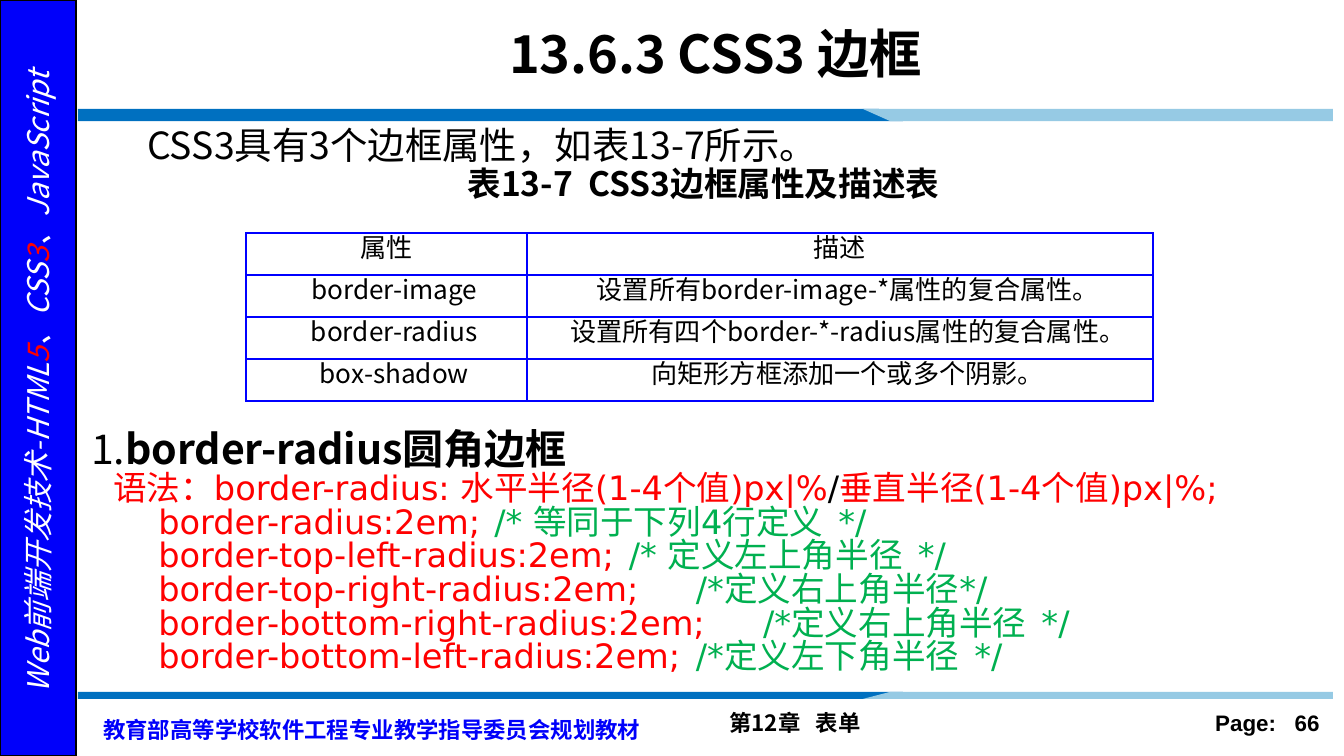
from dataclasses import dataclass

from lxml import etree
from pptx import Presentation
from pptx import util as u
from pptx.dml import color
from pptx.enum import shapes, text
from pptx.oxml import ns

PX = 914400 / 134.4


@dataclass(frozen=True)
class Theme:
    """Colours, fonts and type sizes of the deck."""
    black: str = "000000"
    white: str = "FFFFFF"
    blue: str = "0000FA"
    grid: str = "0000FF"
    band: str = "0070C0"
    band_light: str = "96CAE4"
    code: str = "FF0000"
    comment: str = "00B050"
    sans: str = "Noto Sans CJK SC"
    mono: str = "DejaVu Sans"
    page: str = "Arial"
    title: int = 28
    heading: int = 22
    body: int = 20
    syntax: int = 18
    side: int = 16
    cell: int = 14
    footer: int = 12


def px(n):
    """Turn px into EMU."""
    return u.Emu(round(n * PX))


def rgb(value):
    """Turn a hex string into a colour."""
    return color.RGBColor.from_string(value)


class Deck:
    """Draws styled elements on the current slide."""

    def __init__(self, prs, theme):
        """Add a blank slide to draw on."""
        self.t = theme
        self.s = prs.slides.add_slide(prs.slide_layouts[6])

    def run(self, p, content, size, fill=None, bold=False, italic=False, font=None):
        """Append one formatted run."""
        r = p.add_run()
        r.text = content
        f = r.font
        f.size, f.bold, f.italic = u.Pt(size), bold, italic
        f.name = font or self.t.sans
        f.color.rgb = rgb(fill or self.t.black)
        ea = etree.SubElement(r._r.get_or_add_rPr(), ns.qn("a:ea"))
        ea.set("typeface", self.t.sans)

    def para(self, tf, runs, align="LEFT", spacing=None, margin=0, indent=0, tabs=()):
        """Fill the first empty paragraph or append a new one."""
        p = tf.paragraphs[0] if not tf.text else tf.add_paragraph()
        p.alignment = getattr(text.PP_ALIGN, align)
        if spacing:
            p.line_spacing = spacing
        pPr = p._p.get_or_add_pPr()
        pPr.set("marL", str(px(margin)))
        pPr.set("indent", str(px(indent)))
        if tabs:
            stops = etree.SubElement(pPr, ns.qn("a:tabLst"))
            for pos in tabs:
                etree.SubElement(stops, ns.qn("a:tab"), pos=str(px(pos)), algn="l")
        for content, size, *style in runs:
            self.run(p, content, size, *style)

    def box(self, x, y, w, h, anchor="TOP", rotation=0):
        """Add a wrapping text box and return its frame."""
        sp = self.s.shapes.add_textbox(px(x), px(y), px(w), px(h))
        sp.rotation = rotation
        tf = sp.text_frame
        tf.word_wrap = True
        tf.vertical_anchor = getattr(text.MSO_ANCHOR, anchor)
        return tf

    def rect(self, x, y, w, h, fill, line):
        """Add an outlined rectangle."""
        sp = self.s.shapes.add_shape(shapes.MSO_SHAPE.RECTANGLE, px(x), px(y), px(w), px(h))
        sp.shadow.inherit = False
        sp.fill.solid()
        sp.fill.fore_color.rgb = rgb(fill)
        sp.line.color.rgb = rgb(line)
        sp.line.width = u.Pt(1)

    def polygon(self, points, fill):
        """Add a filled outline without a border."""
        start, *rest = [(px(x), px(y)) for x, y in points]
        fb = self.s.shapes.build_freeform(*start, scale=1.0)
        fb.add_line_segments(rest, close=True)
        sp = fb.convert_to_shape()
        sp.shadow.inherit = False
        sp.fill.solid()
        sp.fill.fore_color.rgb = rgb(fill)
        sp.line.fill.background()

    def band(self, near, far):
        """Add a two-tone divider with a slanted joint."""
        self.polygon([(78, near), (879, near), (903, far), (78, far)], self.t.band)
        self.polygon([(863, near), (1333, near), (1333, far), (890, far)], self.t.band_light)

    def border(self, cell):
        """Draw all four edges of a cell."""
        tcPr = cell._tc.get_or_add_tcPr()
        for i, side in enumerate(("lnL", "lnR", "lnT", "lnB")):
            ln = etree.Element(ns.qn(f"a:{side}"), w=str(u.Pt(1)))
            fill = etree.SubElement(ln, ns.qn("a:solidFill"))
            etree.SubElement(fill, ns.qn("a:srgbClr"), val=self.t.grid)
            tcPr.insert(i, ln)

    def table(self, x, y, widths, height, rows):
        """Add a plain ruled table."""
        frame = self.s.shapes.add_table(len(rows), len(widths), px(x), px(y),
                                        px(sum(widths)), px(height * len(rows)))
        tbl = frame.table
        tbl.first_row = tbl.horz_banding = False
        for col, width in zip(tbl.columns, widths):
            col.width = px(width)
        for i, row in enumerate(rows):
            tbl.rows[i].height = px(height)
            for j, content in enumerate(row):
                cell = tbl.cell(i, j)
                cell.fill.background()
                cell.vertical_anchor = text.MSO_ANCHOR.MIDDLE
                cell.margin_left = cell.margin_right = px(9)
                cell.margin_top = cell.margin_bottom = 0
                self.para(cell.text_frame, [(content, self.t.cell)], "CENTER",
                          u.Pt(12), indent=16 if i else 0)
                self.border(cell)


def main():
    """Build the slide and save it."""
    t = Theme()
    prs = Presentation()
    prs.slide_width, prs.slide_height = px(1344), px(756)
    d = Deck(prs, t)

    d.para(d.box(716, 703, 442, 40), [("第12章   表单", t.footer, t.black, True)])
    d.para(d.box(1165, 703, 168, 40),
           [("Page:   66", t.footer, t.black, True, False, t.page)], "RIGHT")
    d.rect(0, 0, 76, 756, t.blue, t.black)
    d.para(d.box(90, 703, 582, 47),
           [("教育部高等学校软件工程专业教学指导委员会规划教材", t.footer, t.blue, True)],
           spacing=u.Pt(18))
    side = [("Web前端开发技术-HTML", t.white), ("5", t.code), ("、CSS", t.white),
            ("3", t.code), ("、JavaScript", t.white)]
    d.para(d.box(-310, 357, 697, 50, rotation=270),
           [(part, t.side, fill, False, True) for part, fill in side], "CENTER")
    d.band(109, 121)
    d.band(699, 692)

    d.para(d.box(145, 11, 1141, 83, "MIDDLE"),
           [("13.6.3 CSS3 边框", t.title, t.black, True)], "CENTER")
    tf = d.box(78, 121, 1251, 101)
    d.para(tf, [("CSS3具有3个边框属性，如表13-7所示。", t.body)], spacing=0.9, margin=56)
    d.para(tf, [("表13-7  CSS3边框属性及描述表", t.syntax, t.black, True)], "CENTER", 0.9)
    d.table(246, 233, (281, 626), 42, [
        ("属性", "描述"),
        ("border-image", "设置所有border-image-*属性的复合属性。"),
        ("border-radius", "设置所有四个border-*-radius属性的复合属性。"),
        ("box-shadow", "向矩形方框添加一个或多个阴影。"),
    ])

    def code(content, fill):
        """Describe a run of code."""
        return content, t.syntax, fill, False, False, t.mono

    tf = d.box(78, 423, 1251, 269)
    d.para(tf, [("1.", t.heading), ("border-radius圆角边框", t.heading, t.black, True)],
           spacing=0.9)
    d.para(tf, [code("语法：border-radius: 水平半径(1-4个值)px|%", t.code), code("/", t.black),
                code("垂直半径(1-4个值)px|%;", t.code)], spacing=u.Pt(18), margin=22)
    lines = [
        (137, "border-radius:2em;", 632, "/* 等同于下列4行定义  */"),
        (137, "border-top-left-radius:2em;", 702, "/* 定义左上角半径  */"),
        (146, "border-top-right-radius:2em;", 714, "/*定义右上角半径*/"),
        (146, "border-bottom-right-radius:2em;", 738, "/*定义右上角半径  */"),
        (146, "border-bottom-left-radius:2em;", 734, "/*定义左下角半径  */"),
    ]
    for start, rule, stop, note in lines:
        d.para(tf, [code(f"\t{rule}\t", t.code), code(note, t.comment)],
               spacing=u.Pt(18), tabs=(start, stop))
    prs.save("out.pptx")


if __name__ == "__main__":
    main()
